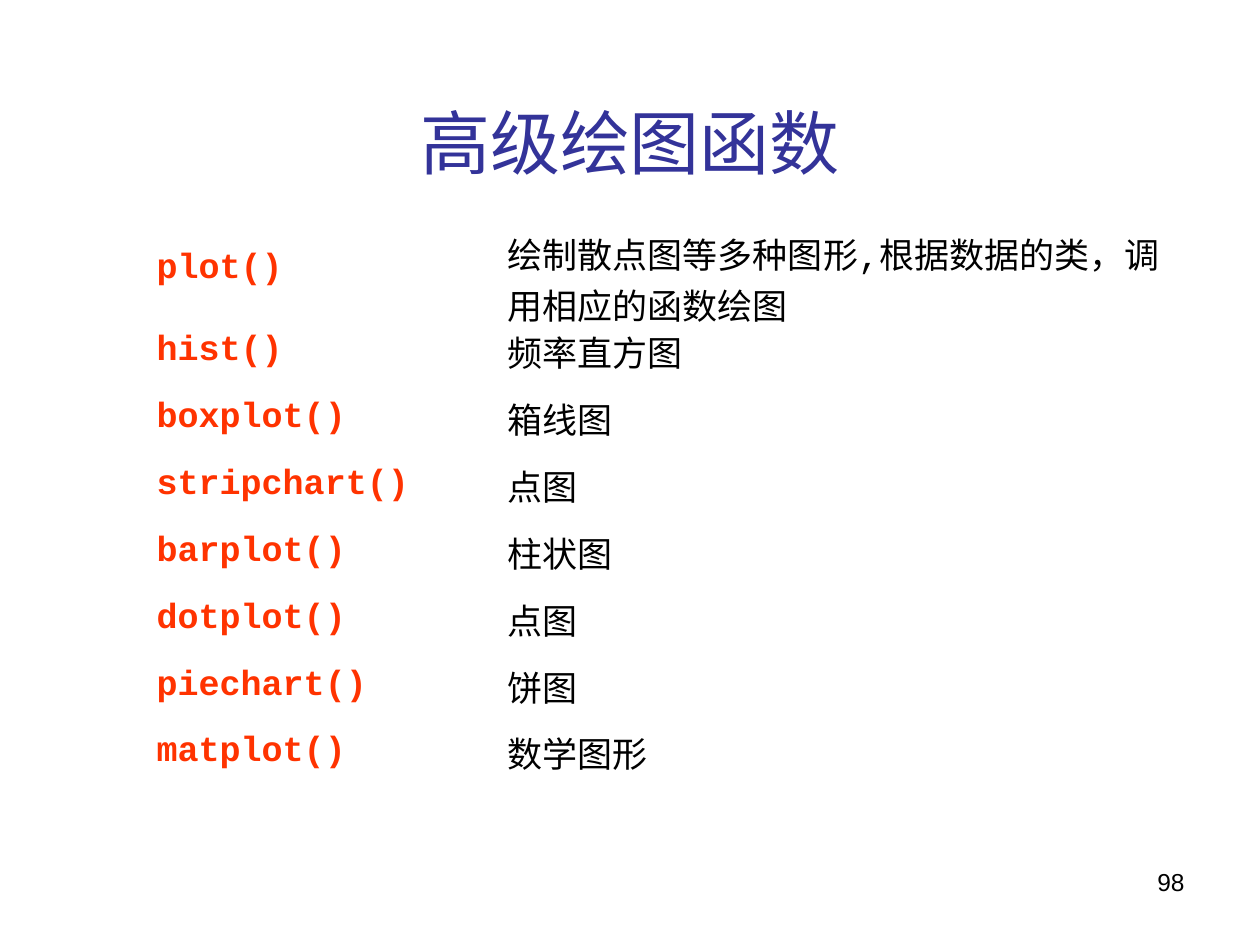
from dataclasses import dataclass

from pptx import Presentation
from pptx.dml.color import RGBColor
from pptx.enum.text import MSO_ANCHOR, MSO_AUTO_SIZE, PP_ALIGN
from pptx.util import Emu, Pt

MIDDLE = MSO_ANCHOR.MIDDLE
NO_FIT = MSO_AUTO_SIZE.NONE
CENTER, RIGHT = PP_ALIGN.CENTER, PP_ALIGN.RIGHT
EMU_PER_PX = 914400 / 126
TITLE_ONLY = 5
NO_STYLE_NO_GRID = "{2D5ABB26-0587-4C30-8999-92F81FD0307C}"


@dataclass(frozen=True)
class Theme:
    """Fonts, colours and type sizes of the slide."""
    code_font: str = "Courier New"
    number_font: str = "Arial"
    title: str = "333399"
    function: str = "FF3300"
    text: str = "000000"
    title_size: int = 40
    table_size: int = 20
    number_size: int = 14


def px(n):
    """Turn pixels into EMU."""
    return Emu(round(n * EMU_PER_PX))


def add_run(p, text, size, color, font, bold=False):
    """Add one formatted run to a paragraph."""
    r = p.add_run()
    r.text = text
    r.font.size = Pt(size)
    r.font.name = font
    r.font.bold = bold
    r.font.color.rgb = RGBColor.from_string(color)


theme = Theme()
functions = [
    ("plot()", "绘制散点图等多种图形,根据数据的类，调用相应的函数绘图"),
    ("hist()", "频率直方图"),
    ("boxplot()", "箱线图"),
    ("stripchart()", "点图"),
    ("barplot()", "柱状图"),
    ("dotplot()", "点图"),
    ("piechart()", "饼图"),
    ("matplot()", "数学图形"),
]

prs = Presentation()
prs.slide_width, prs.slide_height = px(1260), px(945)
slide = prs.slides.add_slide(prs.slide_layouts[TITLE_ONLY])

# Page number
number = slide.shapes.add_textbox(px(903), px(861), px(294), px(66))
number.text_frame.word_wrap = True
p = number.text_frame.paragraphs[0]
p.alignment = RIGHT
add_run(p, "98", theme.number_size, theme.text, theme.number_font)

# Title
title = slide.shapes.title
title.left, title.top, title.width, title.height = px(63), px(38), px(1134), px(157)
tf = title.text_frame
tf.auto_size = NO_FIT
tf.vertical_anchor = MIDDLE
p = tf.paragraphs[0]
p.alignment = CENTER
p.line_spacing = 1.6
add_run(p, "高级绘图函数", theme.title_size, theme.title, theme.code_font)

# Function table
col_widths = [351, 702]
row_heights = [97] + [67] * 6 + [64]
frame = slide.shapes.add_table(len(functions), len(col_widths), px(144), px(221),
                               px(sum(col_widths)), px(sum(row_heights)))
table = frame.table
table.first_row = table.horz_banding = False
table._tbl.tblPr.find("{*}tableStyleId").text = NO_STYLE_NO_GRID
for column, width in zip(table.columns, col_widths):
    column.width = px(width)
for row, height, texts in zip(table.rows, row_heights, functions):
    row.height = px(height)
    for cell, text, color, bold in zip(row.cells, texts,
                                       (theme.function, theme.text), (True, False)):
        cell.fill.background()
        cell.vertical_anchor = MIDDLE
        add_run(cell.text_frame.paragraphs[0], text, theme.table_size, color,
                theme.code_font, bold)

prs.save("out.pptx")
